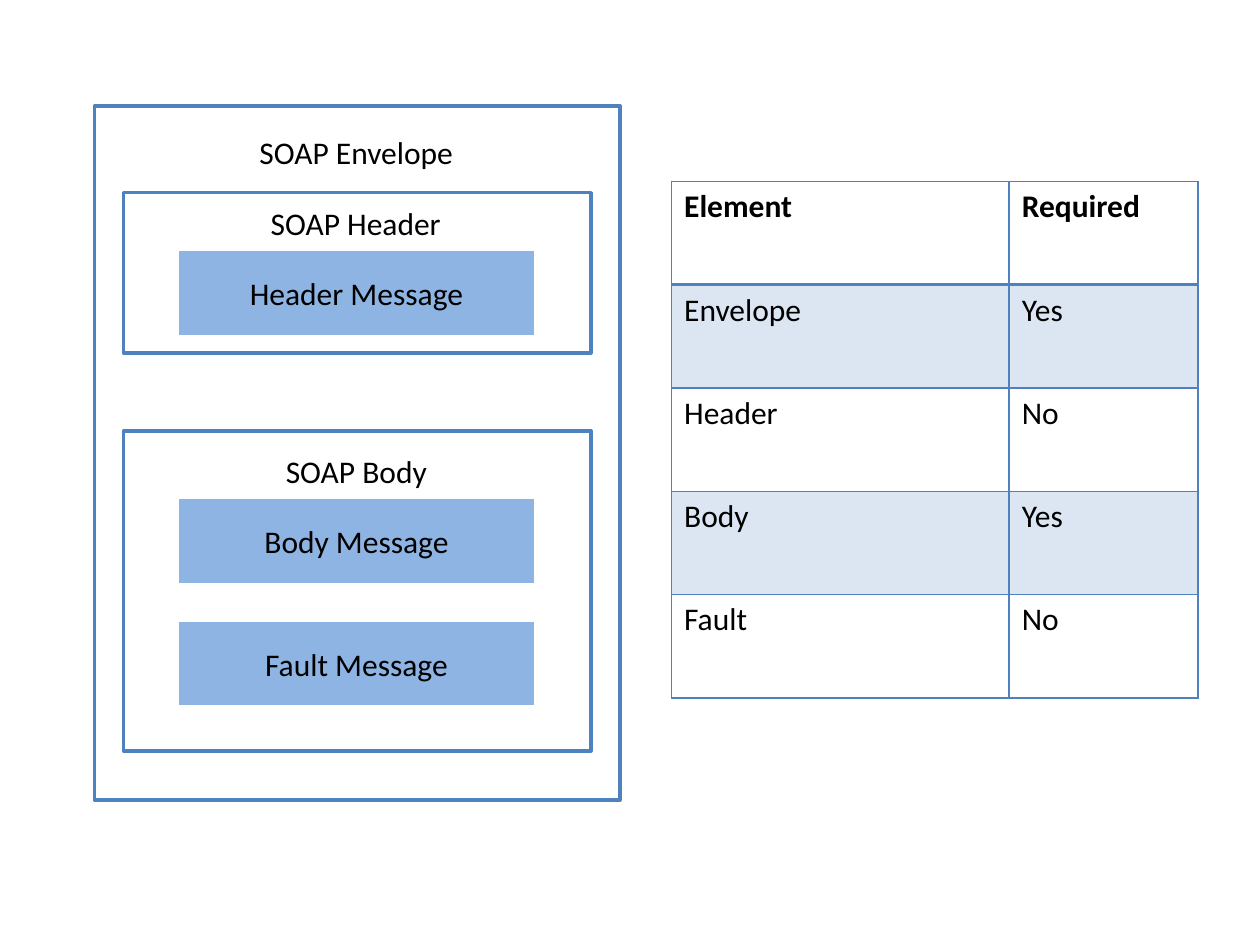
from dataclasses import dataclass

from lxml import etree
from pptx import Presentation
from pptx.dml.color import RGBColor
from pptx.enum.shapes import MSO_SHAPE
from pptx.enum.text import MSO_ANCHOR, MSO_AUTO_SIZE, PP_ALIGN
from pptx.oxml.ns import qn
from pptx.util import Inches, Pt

FRAME = MSO_SHAPE.FLOWCHART_PROCESS
RECT = MSO_SHAPE.RECTANGLE
MIDDLE = MSO_ANCHOR.MIDDLE
CENTER = PP_ALIGN.CENTER
GROW = MSO_AUTO_SIZE.SHAPE_TO_FIT_TEXT
BLUE, LIGHT, BAND = "4F81BD", "8EB4E3", "DCE6F2"
WHITE, BLACK = "FFFFFF", "000000"


@dataclass
class Part:
    """A framed SOAP part with its title."""
    title: str
    left: float
    top: float
    width: float
    height: float
    text_left: float
    text_top: float
    text_width: float


@dataclass
class Message:
    """A filled message box."""
    text: str
    top: float


PARTS = [
    Part("SOAP Envelope", 0.75, 0.84, 4.17, 5.51, 1.96, 1.01, 1.75),
    Part("SOAP Header", 0.98, 1.53, 3.71, 1.27, 2.05, 1.57, 1.57),
    Part("SOAP Body", 0.98, 3.42, 3.71, 2.54, 2.17, 3.54, 1.33),
]
MESSAGES = [
    Message("Header Message", 1.98),
    Message("Body Message", 3.95),
    Message("Fault Message", 4.92),
]
ROWS = [
    ("Element", "Required"),
    ("Envelope", "Yes"),
    ("Header", "No"),
    ("Body", "Yes"),
    ("Fault", "No"),
]
WIDTHS = (2.68, 1.5)


def color(code: str) -> RGBColor:
    """Turn a hex string into a colour."""
    return RGBColor.from_string(code)


def write(frame, text: str, bold: bool = False) -> None:
    """Set text in the slide's one text style."""
    frame.text = text
    font = frame.paragraphs[0].runs[0].font
    font.name, font.size, font.bold = "Calibri", Pt(18), bold
    font.color.rgb = color(BLACK)


def add_box(slide, kind, left: float, top: float, width: float,
            height: float, fill: str, line: str):
    """Add a shape with a plain fill and a 2 pt outline."""
    box = slide.shapes.add_shape(
        kind, Inches(left), Inches(top), Inches(width), Inches(height))
    box.shadow.inherit = False
    box.fill.solid()
    box.fill.fore_color.rgb = color(fill)
    box.line.color.rgb = color(line)
    box.line.width = Pt(2)
    return box


def add_part(slide, part: Part) -> None:
    """Draw a part's frame and title."""
    add_box(slide, FRAME, part.left, part.top, part.width, part.height,
            WHITE, BLUE)
    title = slide.shapes.add_textbox(
        Inches(part.text_left), Inches(part.text_top),
        Inches(part.text_width), Inches(0.4))
    frame = title.text_frame
    frame.word_wrap = False
    frame.auto_size = GROW
    write(frame, part.title)


def add_message(slide, message: Message) -> None:
    """Draw a message box with centred text."""
    box = add_box(slide, RECT, 1.41, message.top, 2.84, 0.69, LIGHT, WHITE)
    frame = box.text_frame
    frame.vertical_anchor = MIDDLE
    write(frame, message.text)
    frame.paragraphs[0].alignment = CENTER


def set_edge(cell, side: str, points: float) -> None:
    """Add one blue cell border."""
    edge = etree.SubElement(cell._tc.get_or_add_tcPr(), qn(f"a:ln{side}"),
                            w=str(Pt(points)))
    fill = etree.SubElement(edge, qn("a:solidFill"))
    etree.SubElement(fill, qn("a:srgbClr"), val=BLUE)


def fill_cell(cell, text: str, row: int) -> None:
    """Write a cell and give it borders and a band."""
    write(cell.text_frame, text, bold=row == 0)
    for side in "LRTB":
        thick = (row, side) in ((0, "B"), (1, "T"))
        set_edge(cell, side, 2 if thick else 1)
    if row % 2:
        cell.fill.solid()
        cell.fill.fore_color.rgb = color(BAND)
    else:
        cell.fill.background()


def add_grid(slide) -> None:
    """Draw the table of required elements."""
    table = slide.shapes.add_table(
        len(ROWS), len(WIDTHS), Inches(5.33), Inches(1.44),
        Inches(sum(WIDTHS)), Inches(4.1)).table
    for column, width in zip(table.columns, WIDTHS):
        column.width = Inches(width)
    for row, texts in enumerate(ROWS):
        table.rows[row].height = Inches(0.82)
        for col, text in enumerate(texts):
            fill_cell(table.cell(row, col), text, row)


def main() -> None:
    """Build and save the slide."""
    deck = Presentation()
    deck.slide_width, deck.slide_height = Inches(10), Inches(7.5)
    slide = deck.slides.add_slide(deck.slide_layouts[6])
    for part in PARTS:
        add_part(slide, part)
    for message in MESSAGES:
        add_message(slide, message)
    add_grid(slide)
    deck.save("out.pptx")


main()
